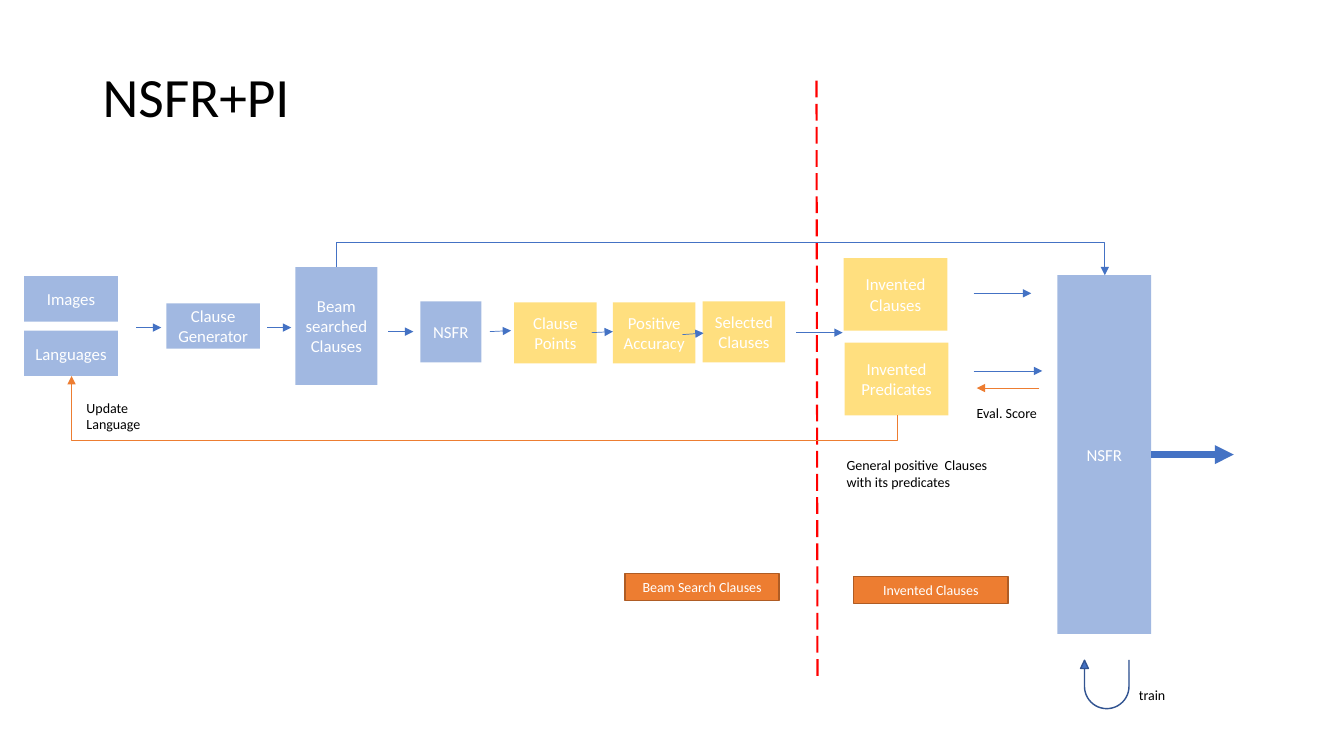
"""Build the NSFR+PI pipeline slide."""
from dataclasses import dataclass

from lxml import etree
from pptx import Presentation
from pptx import util as u
from pptx.dml.color import RGBColor
from pptx.enum import dml, shapes, text
from pptx.oxml.ns import qn

COLUMNS, ROWS = 133.33, 75
CELL = u.Inches(0.1)


@dataclass(frozen=True)
class Theme:
    """Colours, font and type sizes of the slide."""
    font: str = "Calibri"
    ink: str = "000000"
    paper: str = "FFFFFF"
    blue: str = "4472C4"
    blue_edge: str = "325491"
    gold: str = "FFC000"
    orange: str = "ED7D31"
    orange_edge: str = "AF5C24"
    red: str = "FF0000"
    title: float = 39.6
    body: float = 12
    small: float = 10


@dataclass(frozen=True)
class Box:
    """A rectangle in grid columns and rows."""
    left: float
    top: float
    width: float
    height: float

    def inner(self, x, y, width, height):
        """Return a box placed relative to this one."""
        return Box(self.left + x, self.top + y, width, height)

    def point(self, x, y):
        """Return a point placed relative to this box."""
        return self.left + x, self.top + y

    def emu(self):
        """Return the box as slide lengths."""
        return [round(v * CELL) for v in (self.left, self.top, self.width, self.height)]


THEME = Theme()


def apply(target, **values):
    """Set each given attribute on the target."""
    for key, value in values.items():
        setattr(target, key, value)


def write(shape, lines, size, color, align=text.PP_ALIGN.LEFT, spacing=None, **frame_format):
    """Fill a shape with formatted lines of text."""
    frame = shape.text_frame
    apply(frame, text="\n".join(lines), **frame_format)
    for paragraph in frame.paragraphs:
        apply(paragraph, alignment=align, line_spacing=spacing)
        apply(paragraph.font, name=THEME.font, size=u.Pt(size))
        paragraph.font.color.rgb = RGBColor.from_string(color)


def paint(shape, fill, edge=None):
    """Give a shape a flat fill and an optional outline."""
    shape.shadow.inherit = False
    shape.fill.solid()
    shape.fill.fore_color.rgb = RGBColor.from_string(fill)
    if edge:
        shape.line.color.rgb = RGBColor.from_string(edge)
        shape.line.width = u.Pt(1)
    else:
        shape.line.fill.background()


def node(slide, box, label, color):
    """Draw a half-transparent pipeline step."""
    step = slide.shapes.add_shape(shapes.MSO_SHAPE.RECTANGLE, *box.emu())
    paint(step, color)
    tint = step._element.spPr.find(qn("a:solidFill"))[0]
    etree.SubElement(tint, qn("a:alpha"), val="50000")
    write(step, [label], THEME.body, THEME.paper, text.PP_ALIGN.CENTER,
          word_wrap=True, vertical_anchor=text.MSO_ANCHOR.MIDDLE)


def tag(slide, box, label):
    """Draw an orange stage tag."""
    badge = slide.shapes.add_shape(shapes.MSO_SHAPE.RECTANGLE, *box.emu())
    paint(badge, THEME.orange, THEME.orange_edge)
    write(badge, [label], THEME.small, THEME.paper, text.PP_ALIGN.CENTER,
          word_wrap=True, vertical_anchor=text.MSO_ANCHOR.TOP)


def note(slide, box, *lines, wrap=False):
    """Write a small annotation."""
    write(slide.shapes.add_textbox(*box.emu()), lines, THEME.small, THEME.ink, word_wrap=wrap)


def link(slide, start, end, color=THEME.blue, width=0.5, head=True, dash=None,
         kind=shapes.MSO_CONNECTOR.STRAIGHT):
    """Draw a connector, by default with an arrowhead at its end."""
    wire = slide.shapes.add_connector(kind, *(round(v * CELL) for v in (*start, *end)))
    wire.line.color.rgb = RGBColor.from_string(color)
    apply(wire.line, width=u.Pt(width), dash_style=dash)
    if head:
        outline = wire._element.spPr.find(qn("a:ln"))
        etree.SubElement(outline, qn("a:tailEnd"), type="triangle")
    etree.SubElement(wire._element.spPr, qn("a:effectLst"))
    return wire


def loop_link(slide, start, end, rail, color):
    """Draw an elbow arrow that runs along a horizontal rail."""
    (x1, y1), (x2, y2) = start, end
    rise, run = abs(y2 - y1), abs(x2 - x1)
    left, top = (x1 + x2 - rise) / 2, (y1 + y2 - run) / 2
    wire = link(slide, (left, top), (left + rise, top + run), color,
                kind=shapes.MSO_CONNECTOR.ELBOW)
    frame = wire._element.spPr.find(qn("a:xfrm"))
    frame.set("rot", str((270 if y2 > y1 else 90) * 60000))
    frame.set("flipH", "1")
    guides = wire._element.spPr.find(qn("a:prstGeom")).find(qn("a:avLst"))
    share = round((rail - y1) / (y2 - y1) * 100000)
    etree.SubElement(guides, qn("a:gd"), name="adj1", fmla=f"val {share}")


def draw_title(slide, box):
    """Write the slide title."""
    write(slide.shapes.add_textbox(*box.emu()), ["NSFR+PI"], THEME.title, THEME.ink,
          spacing=0.9, word_wrap=True, vertical_anchor=text.MSO_ANCHOR.MIDDLE)


def draw_divider(slide, box):
    """Separate the two stages with a dashed line."""
    link(slide, box.point(0, 0), box.point(box.width, box.height), THEME.red, 1.5,
         head=False, dash=dml.MSO_LINE.LONG_DASH)


def draw_search(slide, box):
    """Draw the beam search stage."""
    for row, label in enumerate(("Images", "Languages")):
        node(slide, box.inner(0, 3.4 + 5.4 * row, 9.3, 4.5), label, THEME.blue)
    node(slide, box.inner(14.1, 6.1, 9.3, 4.5), "Clause Generator", THEME.blue)
    node(slide, box.inner(26.9, 2.5, 8.15, 11.7), "Beam searched Clauses", THEME.blue)
    node(slide, box.inner(39.3, 5.9, 6.05, 6.05), "NSFR", THEME.blue)
    for label, x, y in (("Clause Points", 48.6, 6), ("Positive Accuracy", 58.4, 6),
                        ("Selected Clauses", 67.3, 5.9)):
        node(slide, box.inner(x, y, 8.2, 6.05), label, THEME.gold)
    for x, y, run, rise in ((11.1, 8.5, 2.5, 0), (24.1, 8.5, 2.4, 0), (36.1, 8.9, 2.5, 0),
                            (46.2, 8.9, 2.1, -0.1), (56.3, 9, 2.1, -0.1),
                            (65.3, 9.2, 2.1, -0.15), (76.6, 9, 4.6, 0)):
        link(slide, box.point(x, y), box.point(x + run, y + rise))
    note(slide, box.inner(5.2, 15.1, 8.4, 4.4), "Update Language", wrap=True)
    tag(slide, box.inner(59.6, 32.9, 15.3, 2.7), "Beam Search Clauses")


def draw_invention(slide, box):
    """Draw the invented clauses stage."""
    for row, label in enumerate(("Invented Clauses", "Invented Predicates")):
        node(slide, box.inner(0.1 * row, 8.4 * row, 10.3, 7.2), label, THEME.gold)
    link(slide, box.point(12.9, 3.5), box.point(18.6, 3.5))
    link(slide, box.point(12.9, 11.2), box.point(19.7, 11.2))
    link(slide, box.point(19.4, 12.9), box.point(13.2, 12.9), THEME.orange)
    note(slide, box.inner(12.2, 14, 8.2, 2.7), "Eval. Score")
    note(slide, box.inner(-0.7, 19.2, 16.5, 4.4), "General positive  Clauses",
         "with its predicates")
    tag(slide, box.inner(1, 31.6, 15.3, 2.7), "Invented Clauses")


def draw_reasoner(slide, box):
    """Draw the final reasoner with its output and training loop."""
    node(slide, box, "NSFR", THEME.blue)
    middle = box.height / 2
    link(slide, box.point(box.width, middle), box.point(box.width + 8.2, middle), width=4.5)
    turn = slide.shapes.add_shape(shapes.MSO_SHAPE.U_TURN_ARROW,
                                  *box.inner(2.3, box.height + 2.6, 4.8, 4.8).emu())
    paint(turn, THEME.blue, THEME.blue_edge)
    turn.rotation = 180
    for index, share in enumerate((0, 0.08, 0.17, 0.54, 1)):
        turn.adjustments[index] = share
    note(slide, box.inner(7.1, box.height + 4.7, 4.7, 2.7), "train")


def draw_feedback(slide, box):
    """Link the stages above and below the pipeline."""
    loop_link(slide, box.point(31, 2.5), box.point(107.2, 3.3), box.top, THEME.blue)
    loop_link(slide, box.point(86.6, 17.2), box.point(4.7, 13.3),
              box.top + box.height, THEME.orange)


def main():
    """Lay out the regions and save the deck."""
    deck = Presentation()
    apply(deck, slide_width=round(COLUMNS * CELL), slide_height=ROWS * CELL)
    slide = deck.slides.add_slide(deck.slide_layouts[6])
    for draw, box in ((draw_title, Box(9.2, 6.1, 23, 7.5)),
                      (draw_divider, Box(81, 8, 0.1, 59.2)),
                      (draw_search, Box(2.4, 24, 78, 36)),
                      (draw_invention, Box(83.7, 25.6, 20, 35)),
                      (draw_reasoner, Box(104.9, 27.3, 9.3, 35.6)),
                      (draw_feedback, Box(2.4, 24, 108, 19.7))):
        draw(slide, box)
    deck.save("out.pptx")


if __name__ == "__main__":
    main()
